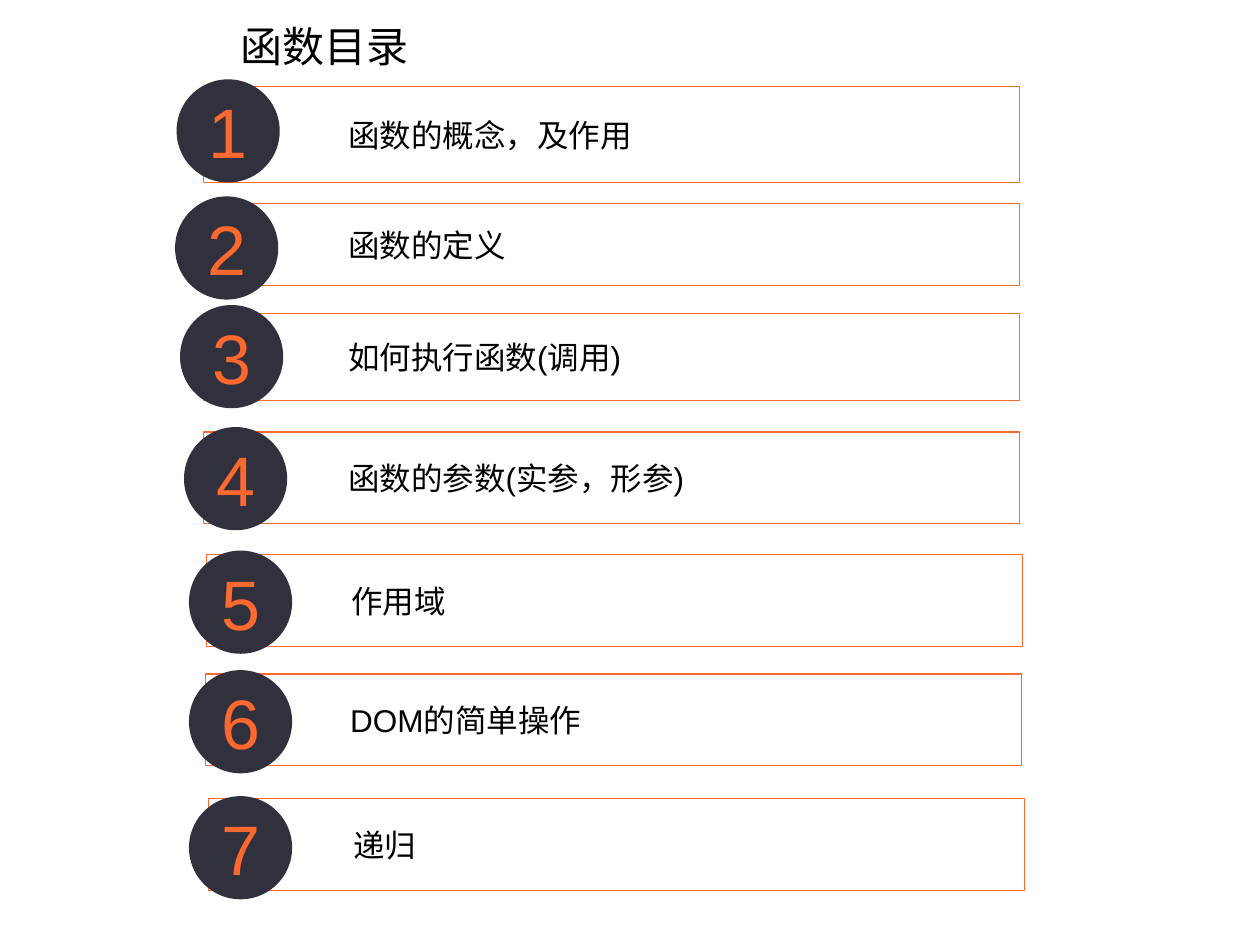
import pptx
import pptx.util
import pptx.dml.color
import pptx.enum.shapes
import pptx.enum.text
import pptx.oxml.ns
import lxml.etree

Cm, Pt = pptx.util.Cm, pptx.util.Pt
RGBColor = pptx.dml.color.RGBColor
MSO_SHAPE = pptx.enum.shapes.MSO_SHAPE
PP_ALIGN = pptx.enum.text.PP_ALIGN
MSO_ANCHOR = pptx.enum.text.MSO_ANCHOR
qn = pptx.oxml.ns.qn

# Content: text, bar left, bar top, bar height, circle left, circle top (cm)
TITLE = "函数目录"
ITEMS = [
    ("函数的概念，及作用", 4.1, 1.75, 1.93, 3.56, 1.6),
    ("函数的定义", 4.1, 4.11, 1.65, 3.53, 3.96),
    ("如何执行函数(调用)", 4.1, 6.32, 1.75, 3.63, 6.15),
    ("函数的参数(实参，形参)", 4.1, 8.71, 1.85, 3.71, 8.61),
    ("作用域", 4.16, 11.18, 1.85, 3.81, 11.1),
    ("DOM的简单操作", 4.14, 13.59, 1.85, 3.81, 13.51),
    ("递归", 4.2, 16.1, 1.85, 3.81, 16.05),
]

# Style
BLACK = RGBColor(0x00, 0x00, 0x00)
WHITE = RGBColor(0xFF, 0xFF, 0xFF)
ORANGE = RGBColor(0xFF, 0x68, 0x2F)
DARK = RGBColor(0x30, 0x31, 0x3C)
LATIN, CJK = "Arial", "Noto Sans CJK SC"
BAR_WIDTH, CIRCLE = 16.46, 2.08


def set_text(sp, text, size, color=BLACK, font=LATIN, align=PP_ALIGN.LEFT,
             anchor=MSO_ANCHOR.MIDDLE, insets=(0.25, 0.13, 0.25, 0.13)):
    tf = sp.text_frame
    tf.word_wrap = True
    tf.vertical_anchor = anchor
    tf.margin_left, tf.margin_top, tf.margin_right, tf.margin_bottom = map(Cm, insets)
    p = tf.paragraphs[0]
    p.alignment = align
    r = p.add_run()
    r.text = text
    r.font.size = Pt(size)
    r.font.name = font
    r.font.color.rgb = color
    ea = lxml.etree.Element(qn("a:ea"), typeface=CJK)
    r.font._element.find(qn("a:latin")).addnext(ea)


def add_filled(s, kind, left, top, width, height, fill):
    sp = s.shapes.add_shape(kind, Cm(left), Cm(top), Cm(width), Cm(height))
    sp.shadow.inherit = False
    sp.fill.solid()
    sp.fill.fore_color.rgb = fill
    return sp


prs = pptx.Presentation()
prs.slide_width, prs.slide_height = Cm(25.4), Cm(19.05)
s = prs.slides.add_slide(prs.slide_layouts[5])

# Title
title = s.shapes.title
title.left, title.top, title.width, title.height = Cm(4.6), Cm(0.28), Cm(6), Cm(1.27)
set_text(title, TITLE, 24, font=CJK, anchor=MSO_ANCHOR.TOP)

# Numbered bars
for number, (text, left, top, height, circle_left, circle_top) in enumerate(ITEMS, 1):
    bar = add_filled(s, MSO_SHAPE.RECTANGLE, left, top, BAR_WIDTH, height, WHITE)
    color = bar.fill._xPr.find(qn("a:solidFill"))[0]
    lxml.etree.SubElement(color, qn("a:alpha"), val="40000")
    bar.line.color.rgb = ORANGE
    bar.line.width = Pt(0.75)
    set_text(bar, text, 18, insets=(2.92, 0.2, 0.2, 0.2))

    circle = add_filled(s, MSO_SHAPE.OVAL, circle_left, circle_top, CIRCLE, CIRCLE, DARK)
    circle.line.fill.background()
    set_text(circle, str(number), 40, color=ORANGE, align=PP_ALIGN.CENTER)

prs.save("out.pptx")
